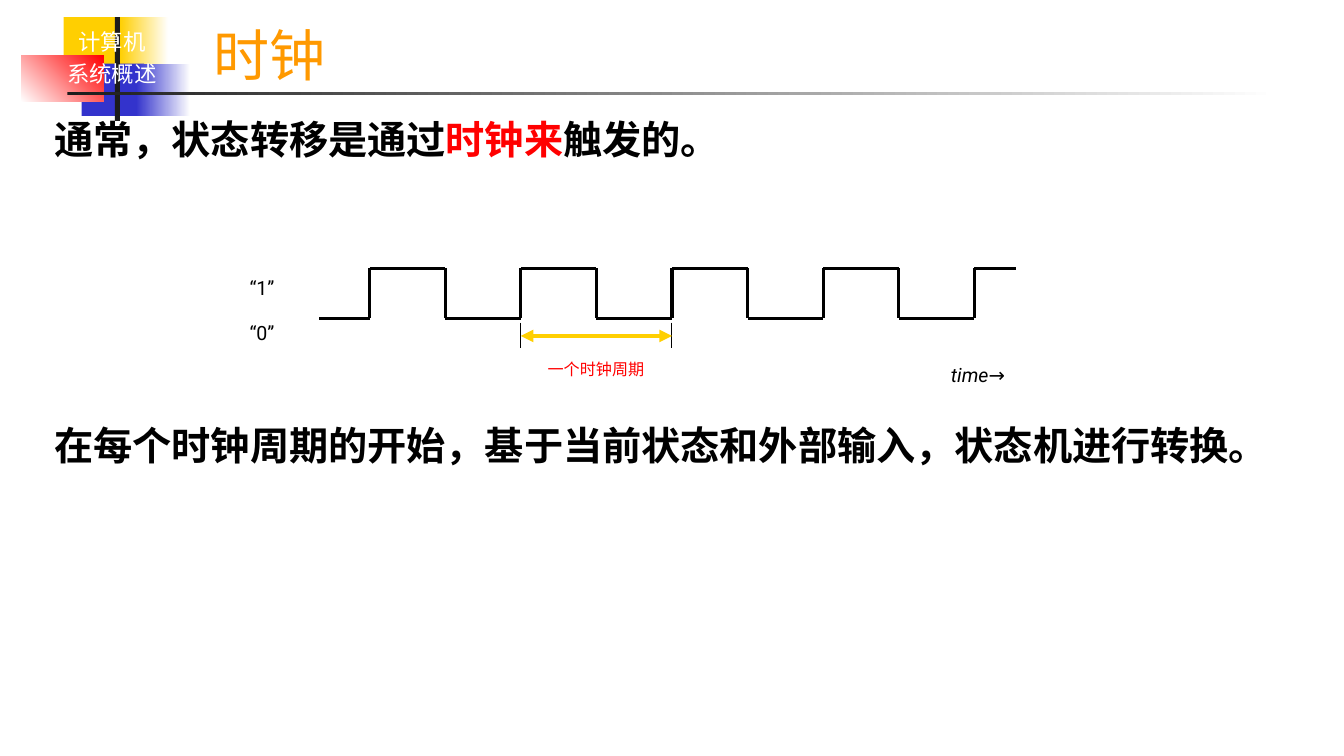
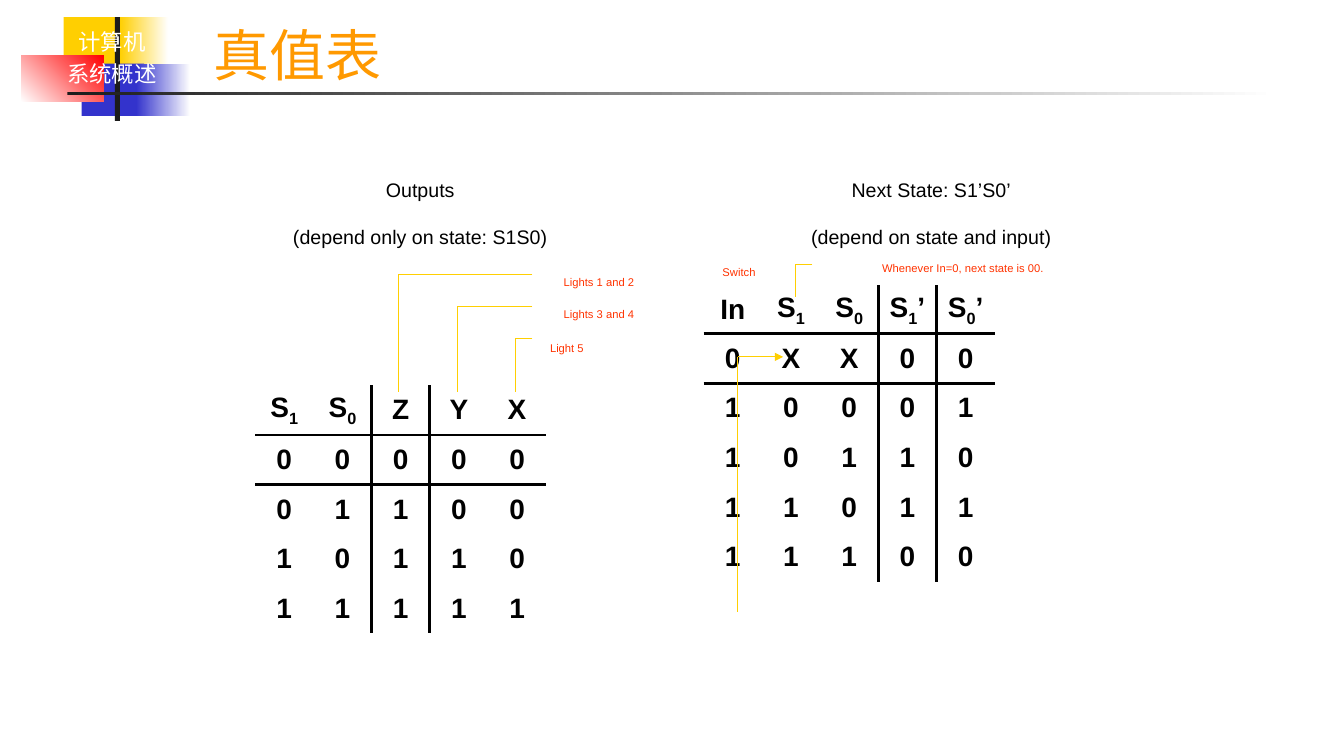
from lxml.etree import SubElement
from pptx import Presentation
from pptx.dml.color import RGBColor
from pptx.enum.shapes import MSO_CONNECTOR, MSO_SHAPE
from pptx.enum.text import MSO_ANCHOR, PP_ALIGN
from pptx.oxml import parse_xml
from pptx.oxml.ns import nsdecls, qn
from pptx.util import Pt

COLORS = {
    "yellow": "FFCF01", "blue": "3333CC", "red": "FF0000", "dark": "1C1C1C",
    "white": "FFFFFF", "black": "000000", "orange": "FF9900", "label": "FF3300",
}
NO_TABLE_STYLE = "{2D5ABB26-0587-4C30-8999-92F81FD0307C}"

BADGE = ["计算机", "系统概述"]
BADGE_BLOCKS = [
    (45.4, 12.2, 46, 37.4, "yellow", None, 0),
    (85.7, 12.2, 34.6, 37.4, "yellow", "white", 0),
    (58.3, 45.4, 44.6, 37.4, "blue", None, 0),
    (97.2, 45.4, 38.9, 37.4, "blue", "white", 0),
    (15.1, 39.6, 59, 33.1, "white", "red", 45),
    (82, 12.2, 3.6, 74.2, "dark", None, 0),
    (48.2, 65.5, 864, 2.2, "dark", "white", 0),
]

TITLE = {"size": 40, "font": "Lato", "color": "orange"}
BADGE_TEXT = {"size": 16, "font": "Lato", "color": "white"}
BODY = {"size": 28, "font": "Lato", "color": "black", "bold": True}
SIGNAL = {"size": 14, "font": "Roboto", "color": "black"}
TIME = {**SIGNAL, "italic": True}
PERIOD = {"size": 11.5, "font": "Roboto", "color": "red"}
HEADING = {"size": 14, "font": "Arial", "color": "black"}
NOTE = {"size": 8, "font": "Arial", "color": "label"}
CELL = {"size": 20, "font": "Arial", "color": "black", "bold": True}

STATEMENTS = [
    ("通常，状态转移是通过|时钟来|触发的。", 99),
    ("在每个时钟周期的开始，基于当前状态和外部输入，状态机进行转换。", 318),
]
CLOCK = {"start": 228, "first": 264, "half": 54, "edges": 9, "end": 726, "high": 191.5, "low": 227.5}
CLOCK_LABELS = [
    ("“1”", 187.2, 205.7, SIGNAL),
    ("“0”", 187.2, 237.9, SIGNAL),
    ("time→", 698.6, 267.9, TIME),
    ("一个时钟周期", 425.7, 263.6, PERIOD),
]

HEADINGS = [
    (["Outputs", "(depend only on state: S1S0)"], 300.2),
    (["Next State: S1’S0’", "(depend on state and input)"], 665.2),
]
TABLES = [
    {"left": 182.2, "top": 275.2, "header": 35.5, "inputs": 2,
     "rows": [["S|1", "S|0", "Z", "Y", "X"], "00000", "01100", "10110", "11111"]},
    {"left": 502.6, "top": 203.8, "header": 34.3, "inputs": 3,
     "rows": [["In", "S|1", "S|0", "S|1|’", "S|0|’"],
              "0XX00", "10001", "10110", "11011", "11100"]},
]
COLUMN_WIDTH, ROW_HEIGHT = 41.6, 35.45
NOTES = [
    ("Lights 1 and 2", 427.9, 201.4),
    ("Lights 3 and 4", 427.9, 224.3),
    ("Light 5", 405, 248.6),
    ("Switch", 527.9, 194.3),
    ("Whenever In=0, next state is 00.", 687.9, 191.4),
]
LIGHT_COLUMNS = [284.5, 326.9, 367.9]
LIGHT_TOP, LIGHT_STEP, LIGHT_RIGHT, LIGHT_BOTTOM = 195.8, 23, 380.2, 280.1
SWITCH_PATH = [(580.3, 188.6), (568.1, 188.6), (568.1, 212.4)]
STATE_PATH = [(527, 437), (527, 254.9), (559.4, 254.9)]


def rgb(name):
    return RGBColor.from_string(COLORS[name])


def write(paragraph, text, style, emphasis=None):
    for index, piece in enumerate(text.split("|")):
        run = paragraph.add_run()
        run.text = piece
        look = {**style, **(emphasis or {})} if index % 2 else style
        font = run.font
        font.size = Pt(look["size"])
        font.bold = look.get("bold", False)
        font.italic = look.get("italic", False)
        font.color.rgb = rgb(look["color"])
        font.name = look["font"]
        properties = run._r.get_or_add_rPr()
        SubElement(properties, qn("a:ea")).set("typeface", look["font"])
        if "baseline" in look:
            properties.set("baseline", str(look["baseline"] * 1000))


def add_text(slide, lines, left, middle, width, style, align=PP_ALIGN.LEFT, gap=0, emphasis=None):
    height = len(lines) * style["size"] * 1.2 + (len(lines) - 1) * gap
    box = slide.shapes.add_textbox(Pt(left), Pt(middle - height / 2), Pt(width), Pt(height))
    frame = box.text_frame
    frame.word_wrap = True
    frame.vertical_anchor = MSO_ANCHOR.MIDDLE
    frame.margin_left = frame.margin_right = frame.margin_top = frame.margin_bottom = 0
    for index, line in enumerate(lines):
        paragraph = frame.add_paragraph() if index else frame.paragraphs[0]
        paragraph.alignment = align
        if index:
            paragraph.space_before = Pt(gap)
        write(paragraph, line, style, emphasis)


def add_label(slide, lines, center, middle, style, width=130, gap=0):
    add_text(slide, lines, center - width / 2, middle, width, style, PP_ALIGN.CENTER, gap)


def add_path(slide, points, color, width, arrows=()):
    for start, end in zip(points, points[1:]):
        line = slide.shapes.add_connector(
            MSO_CONNECTOR.STRAIGHT, *(Pt(value) for value in start + end))
        line.line.color.rgb = rgb(color)
        line.line.width = Pt(width)
        SubElement(line._element.spPr, qn("a:effectLst"))
    for tag in arrows:
        SubElement(line.line._get_or_add_ln(), qn(f"a:{tag}")).set("type", "triangle")


def add_block(slide, left, top, width, height, color, fade, angle):
    shape = slide.shapes.add_shape(MSO_SHAPE.RECTANGLE, Pt(left), Pt(top), Pt(width), Pt(height))
    shape.shadow.inherit = False
    shape.line.fill.background()
    if fade:
        shape.fill.gradient()
        shape.fill.gradient_angle = angle
        for stop, name in zip(shape.fill.gradient_stops, (color, fade)):
            stop.color.rgb = rgb(name)
    else:
        shape.fill.solid()
        shape.fill.fore_color.rgb = rgb(color)


def add_base(presentation, title):
    slide = presentation.slides.add_slide(presentation.slide_layouts[6])
    for block in BADGE_BLOCKS:
        add_block(slide, *block)
    add_label(slide, BADGE, 80, 41, BADGE_TEXT, 112, 3.2)
    add_text(slide, [title], 152.6, 39, 758, TITLE)
    return slide


def set_borders(cell, sides):
    properties = cell._tc.get_or_add_tcPr()
    for index, side in enumerate(side for side in "LRTB" if side in sides):
        properties.insert(index, parse_xml(
            f'<a:ln{side} {nsdecls("a")} w="{Pt(2.25)}"><a:solidFill>'
            f'<a:srgbClr val="{COLORS["black"]}"/></a:solidFill></a:ln{side}>'))


def add_truth_table(slide, left, top, header, inputs, rows):
    columns = len(rows[0])
    height = header + ROW_HEIGHT * (len(rows) - 1)
    table = slide.shapes.add_table(
        len(rows), columns, Pt(left), Pt(top), Pt(COLUMN_WIDTH * columns), Pt(height)).table
    table.first_row = table.horz_banding = False
    table._tbl.tblPr.find(qn("a:tableStyleId")).text = NO_TABLE_STYLE
    for column in table.columns:
        column.width = Pt(COLUMN_WIDTH)
    for row_index, values in enumerate(rows):
        table.rows[row_index].height = Pt(ROW_HEIGHT if row_index else header)
        for column_index, value in enumerate(values):
            cell = table.cell(row_index, column_index)
            cell.vertical_anchor = MSO_ANCHOR.MIDDLE
            cell.margin_left = cell.margin_right = 0
            cell.fill.background()
            sides = {0: "B", 1: "T"}.get(row_index, "")
            sides += {inputs - 1: "R", inputs: "L"}.get(column_index, "")
            set_borders(cell, sides)
            paragraph = cell.text_frame.paragraphs[0]
            paragraph.alignment = PP_ALIGN.CENTER
            write(paragraph, value, CELL, {"baseline": -25})


def clock_points():
    level, other = CLOCK["low"], CLOCK["high"]
    points = [(CLOCK["start"], level)]
    for edge in range(CLOCK["edges"]):
        x = CLOCK["first"] + edge * CLOCK["half"]
        points += [(x, level), (x, other)]
        level, other = other, level
    return points + [(CLOCK["end"], level)]


def add_clock_slide(presentation):
    slide = add_base(presentation, "时钟")
    for text, middle in STATEMENTS:
        add_text(slide, [text], 38.9, middle, 881, BODY, emphasis={"color": "red"})
    add_path(slide, clock_points(), "black", 2.25)
    period = [CLOCK["first"] + edge * CLOCK["half"] for edge in (2, 4)]
    for x in period:
        add_path(slide, [(x, 230.4), (x, 248.4)], "black", 0.75)
    add_path(slide, [(x, 240) for x in period], "yellow", 3, ("headEnd", "tailEnd"))
    for text, center, middle, style in CLOCK_LABELS:
        add_label(slide, [text], center, middle, style)


def add_truth_table_slide(presentation):
    slide = add_base(presentation, "真值表")
    for lines, center in HEADINGS:
        add_label(slide, lines, center, 152.1, HEADING, 240, 16.8)
    for table in TABLES:
        add_truth_table(slide, **table)
    for text, center, middle in NOTES:
        add_label(slide, [text], center, middle, NOTE)
    for index, x in enumerate(LIGHT_COLUMNS):
        y = LIGHT_TOP + index * LIGHT_STEP
        add_path(slide, [(LIGHT_RIGHT, y), (x, y), (x, LIGHT_BOTTOM)], "yellow", 0.75)
    add_path(slide, SWITCH_PATH, "yellow", 0.75)
    add_path(slide, STATE_PATH, "yellow", 0.75, ("tailEnd",))


def main():
    presentation = Presentation()
    presentation.slide_width, presentation.slide_height = Pt(960), Pt(540)
    add_clock_slide(presentation)
    add_truth_table_slide(presentation)
    presentation.save("out.pptx")


if __name__ == "__main__":
    main()
